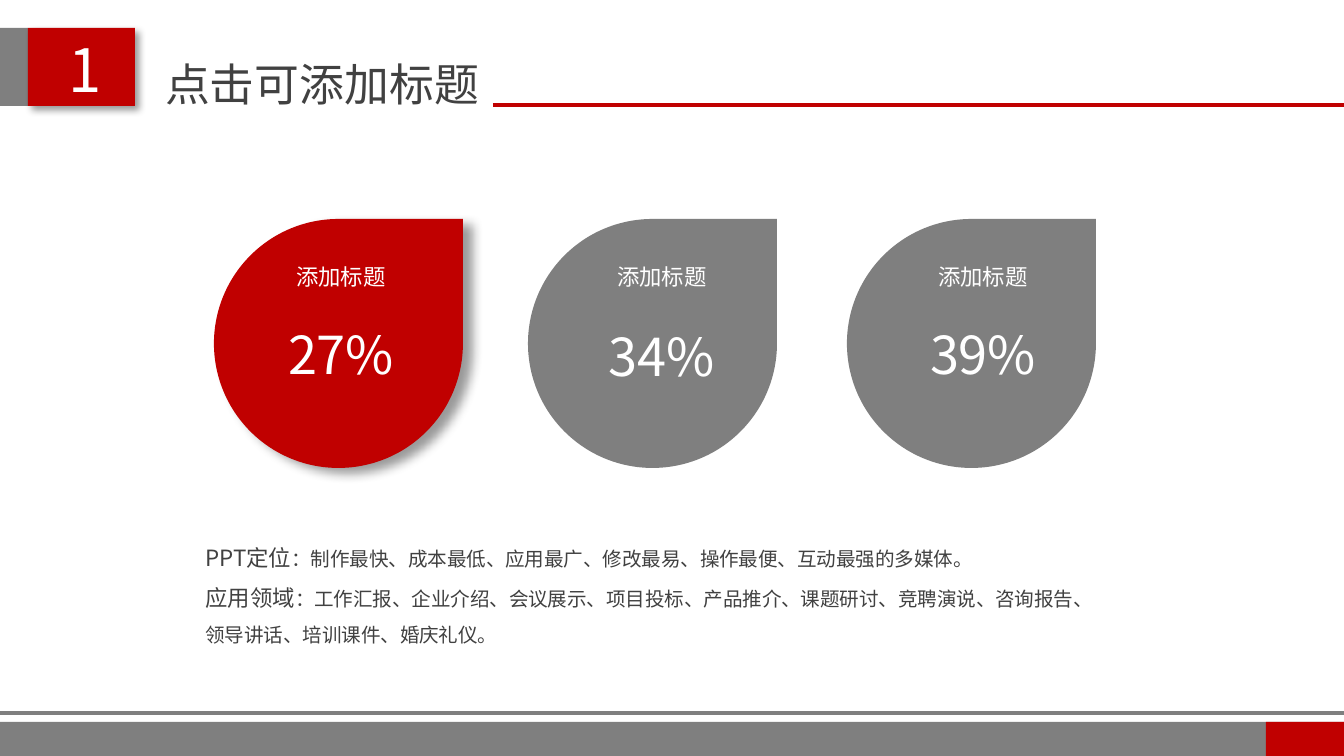
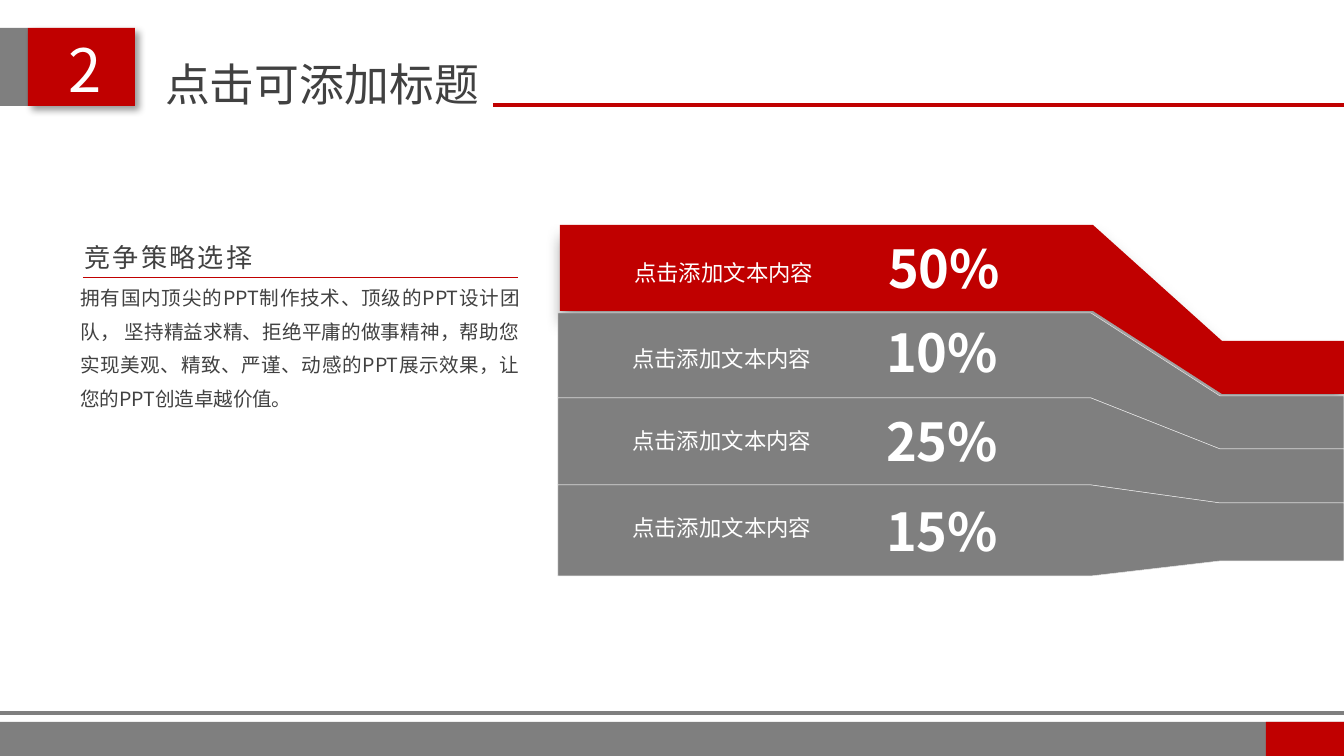
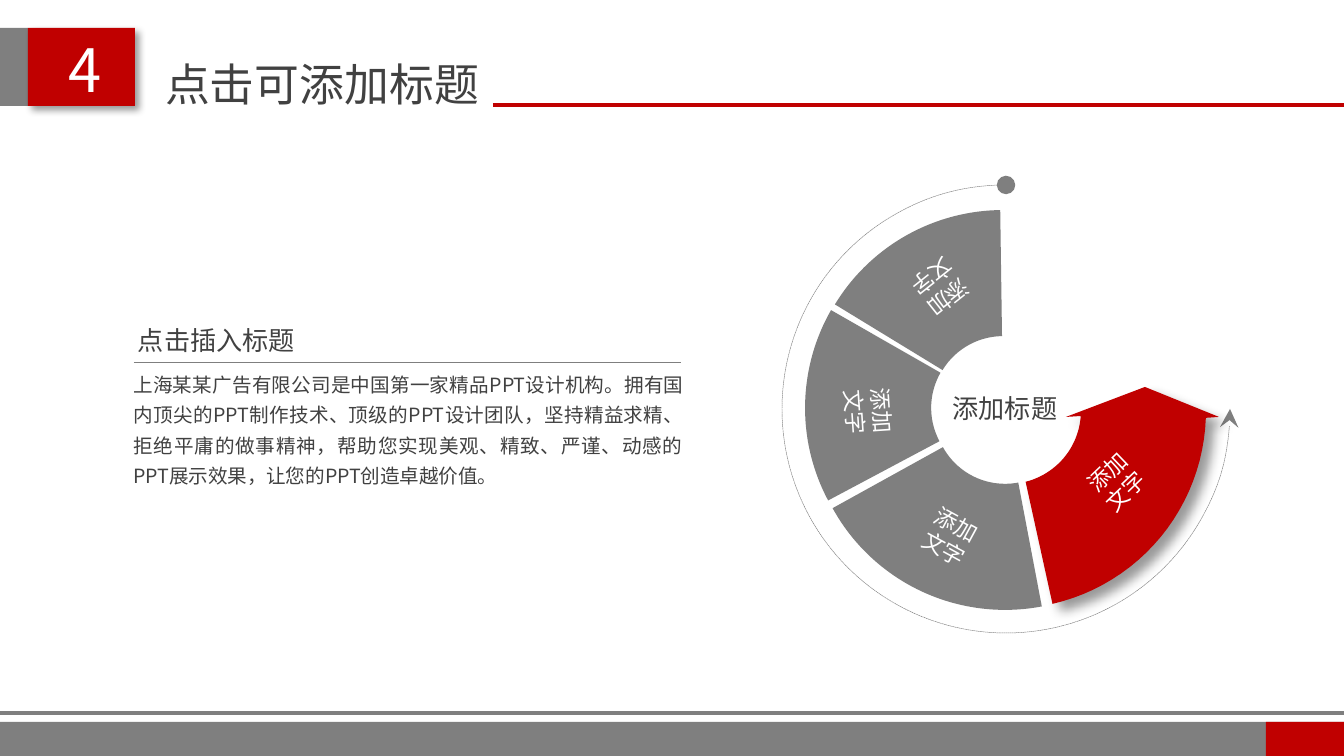
from math import cos, radians, sin

from lxml import etree
from pptx import Presentation
from pptx.dml.color import RGBColor
from pptx.enum.dml import MSO_LINE
from pptx.enum.shapes import MSO_CONNECTOR, MSO_SHAPE
from pptx.enum.text import MSO_ANCHOR, MSO_AUTO_SIZE, PP_ALIGN
from pptx.oxml.ns import qn
from pptx.util import Pt

RECT, TEAR = MSO_SHAPE.RECTANGLE, MSO_SHAPE.TEAR
BLOCK_ARC, ARC = MSO_SHAPE.BLOCK_ARC, MSO_SHAPE.ARC
STRAIGHT = MSO_CONNECTOR.STRAIGHT
SHORT_DASH = MSO_LINE.SQUARE_DOT
TOP, NO_FIT = MSO_ANCHOR.TOP, MSO_AUTO_SIZE.NONE
LEFT, CENTER, RIGHT, JUSTIFY = PP_ALIGN.LEFT, PP_ALIGN.CENTER, PP_ALIGN.RIGHT, PP_ALIGN.JUSTIFY

WIDTH, HEIGHT = 1344, 756
EMU_PER_PX = 9144000 / WIDTH
FONT = "Noto Sans CJK SC"
COLORS = {"red": "C00000", "gray": "7F7F7F", "edge": "E7E7E7",
          "text": "414141", "white": "FFFFFF", "shadow": "000000"}


def emu(px):
    return round(px * EMU_PER_PX)


def rgb(name):
    return RGBColor.from_string(COLORS[name])


def arc_points(center, radius, start, end, steps=24):
    angles = [radians(start + (end - start) * i / steps) for i in range(steps + 1)]
    return [(center[0] + radius * cos(a), center[1] + radius * sin(a)) for a in angles]


class Deck:
    def __init__(self):
        self.prs = Presentation()
        self.prs.slide_width, self.prs.slide_height = emu(WIDTH), emu(HEIGHT)
        self.layout = self.prs.slide_layouts[1]
        self.slide = None

    def add_page(self, number, title):
        first = self.slide is None
        self.slide = self.prs.slides.add_slide(self.layout)
        if first:
            self.draw_frame()
        heading = self.slide.shapes.title
        self.place(heading, (137, 50, 370, 67))
        self.fill_text(heading.text_frame, [title], 24, align=CENTER)
        self.text((55, 26, 55, 86), [number], 32, "white", CENTER)

    def draw_frame(self):
        for holder in list(self.layout.placeholders):
            if holder.placeholder_format.idx >= 10:
                holder.element.getparent().remove(holder.element)
        parts = [
            self.shape(RECT, (0, 722, WIDTH, 34), "gray"),
            self.line((0, 713), (WIDTH, 713), "gray", 2.25),
            self.shape(RECT, (1266, 722, 78, 34), "red"),
            self.shape(RECT, (0, 28, 28, 78), "gray"),
            self.shape(RECT, (28, 28, 107, 78), "red", shadow=(4, 3, 45)),
            self.line((493, 105), (WIDTH, 105), "red", 2.25),
        ]
        for part in parts:
            self.layout.shapes.element.append(part.element)

    def place(self, shape, box):
        shape.left, shape.top, shape.width, shape.height = map(emu, box)

    def fill_text(self, frame, lines, size, color="text", align=LEFT, bold=False,
                  spacing=None, tracking=None, wrap=True):
        frame.word_wrap = wrap
        frame.auto_size = NO_FIT
        frame.vertical_anchor = TOP
        for i, line in enumerate(lines):
            paragraph = frame.add_paragraph() if i else frame.paragraphs[0]
            props = paragraph._p.get_or_add_pPr()
            props.set("marL", "0")
            props.set("indent", "0")
            etree.SubElement(props, qn("a:buNone"))
            paragraph.alignment = align
            paragraph.space_before = Pt(0)
            if spacing:
                paragraph.line_spacing = spacing
            font = paragraph.font
            font.size, font.bold, font.name = Pt(size), bold, FONT
            font.color.rgb = rgb(color)
            defaults = props.find(qn("a:defRPr"))
            etree.SubElement(defaults, qn("a:ea")).set("typeface", FONT)
            if tracking:
                defaults.set("spc", str(tracking))
            pieces = [(line, None)] if isinstance(line, str) else line
            for words, own_size in pieces:
                run = paragraph.add_run()
                run.text = words
                if own_size:
                    run.font.size = Pt(own_size)

    def text(self, box, lines, size, color="text", align=LEFT, rotation=0, **style):
        area = self.slide.shapes.add_textbox(*map(emu, box))
        area.rotation = rotation
        self.fill_text(area.text_frame, lines, size, color, align, **style)

    def body(self, box, lines, **style):
        holder = self.slide.placeholders[1]
        self.place(holder, box)
        self.fill_text(holder.text_frame, lines, 10.5, **style)

    def finish(self, shape, fill, edge=None, shadow=None):
        shape.shadow.inherit = False
        if fill:
            shape.fill.solid()
            shape.fill.fore_color.rgb = rgb(fill)
        else:
            shape.fill.background()
        if edge:
            shape.line.color.rgb = rgb(edge)
            shape.line.width = Pt(0.25)
        else:
            shape.line.fill.background()
        if shadow:
            blur, distance, direction = shadow
            effects = shape.element.spPr.find(qn("a:effectLst"))
            outer = etree.SubElement(effects, qn("a:outerShdw"), blurRad=str(Pt(blur)),
                                     dist=str(Pt(distance)), dir=str(direction * 60000),
                                     algn="ctr", rotWithShape="0")
            tone = etree.SubElement(outer, qn("a:srgbClr"), val=COLORS["shadow"])
            etree.SubElement(tone, qn("a:alpha"), val="40000")
        return shape

    def shape(self, kind, box, fill, adjust=(), rotation=0, **look):
        shape = self.slide.shapes.add_shape(kind, *map(emu, box))
        for i, value in enumerate(adjust):
            shape.adjustments[i] = value
        shape.rotation = rotation
        return self.finish(shape, fill, **look)

    def outline(self, points, fill, **look):
        start, *rest = [(emu(x), emu(y)) for x, y in points]
        builder = self.slide.shapes.build_freeform(*start)
        builder.add_line_segments(rest, close=True)
        return self.finish(builder.convert_to_shape(), fill, **look)

    def line(self, start, end, color, width):
        rule = self.slide.shapes.add_connector(STRAIGHT, *map(emu, start + end))
        rule.line.color.rgb = rgb(color)
        rule.line.width = Pt(width)
        etree.SubElement(rule.element.spPr, qn("a:effectLst"))
        return rule

    def orbit(self, box):
        track = self.shape(ARC, box, None, adjust=(0, 162), edge="gray")
        track.line.dash_style = SHORT_DASH
        stroke = track.element.spPr.find(qn("a:ln"))
        for end, style in (("a:headEnd", "stealth"), ("a:tailEnd", "oval")):
            etree.SubElement(stroke, qn(end), type=style, w="lg", len="lg")


def build_shares(deck):
    deck.add_page("1", "点击可添加标题")
    deck.body((192, 524, 907, 145), [
        [("PPT定位", 12),
         ("：制作最快、成本最低、应用最广、修改最易、操作最便、互动最强的多媒体。", None)],
        [("应用领域", 12),
         ("：工作汇报、企业介绍、会议展示、项目投标、产品推介、课题研讨、竞聘演说、"
          "咨询报告、领导讲话、培训课件、婚庆礼仪。", None)],
    ], spacing=1.5)
    drops = [(214, 341, 316, "27%", "red", (6, 6, 30)),
             (528, 662, 318, "34%", "gray", None),
             (847, 983, 316, "39%", "gray", None)]
    for left, middle, top, share, color, shadow in drops:
        deck.shape(TEAR, (left, 219, 249, 249), color, shadow=shadow)
        deck.text((middle - 112, top, 224, 77), [share], 28, "white", CENTER)
        deck.text((middle - 64, 257, 128, 40), ["添加标题"], 12, "white", CENTER)


def build_ribbons(deck):
    deck.add_page("2", "点击可添加标题")
    ribbons = [
        ("50%", "red", 560, (225, 311), (341, 394), 253, 230),
        ("10%", "gray", 558, (313, 398), (396, 449), 339, 314),
        ("25%", "gray", 558, (398, 485), (449, 503), 421, 403),
        ("15%", "gray", 558, (485, 576), (503, 561), 508, 493),
    ]
    for share, color, left, (top, bottom), (neck_top, neck_bottom), label_y, share_y in ribbons:
        bend, neck = left + 533, left + 662
        look = {"shadow": (8, 6, 90)} if color == "red" else {"edge": "edge"}
        deck.outline([(left, top), (bend, top), (neck, neck_top), (WIDTH, neck_top),
                      (WIDTH, neck_bottom), (neck, neck_bottom), (bend, bottom),
                      (left, bottom)], color, **look)
        deck.text((left + 61, label_y, 254, 40), ["点击添加文本内容"], 12, "white")
        deck.text((left + 308, share_y, 152, 77), [share], 28, "white", CENTER, bold=True)
    deck.body((67, 269, 466, 149), [
        "拥有国内顶尖的PPT制作技术、顶级的PPT设计团队， 坚持精益求精、拒绝平庸的做事精神，"
        "帮助您实现美观、精致、严谨、动感的PPT展示效果，让您的PPT创造卓越价值。"
    ], align=JUSTIFY, spacing=Pt(18))
    deck.text((67, 235, 199, 46), ["竞争策略选择"], 14, align=RIGHT, tracking=120, wrap=False)
    deck.line((83, 277), (518, 277), "red", 0.25)


def build_ring(deck):
    deck.add_page("4", "点击可添加标题")
    deck.orbit((782, 185, 448, 448))
    deck.text((931, 386, 148, 77), ["添加标题"], 14, align=CENTER)

    label = ["添加", "文字"]
    segments = [((806, 210), 159.7, 31.02, (888, 254), 141.5),
                ((805, 211), 100.3, 31.02, (816, 378), 86.2),
                ((808, 216), 41.6, 22.57, (898, 503), 28.5)]
    for corner, turn, start, label_corner, label_turn in segments:
        deck.shape(BLOCK_ARC, corner + (394, 394), "gray",
                   adjust=(start, 65.68, 0.32), rotation=turn)
        deck.text(label_corner + (105, 67), label, 12, "white", CENTER, label_turn)

    hub = (1008, 411)
    arrow = [(1145, 387), (1219, 417), *arc_points(hub, 198, 2, 77),
             *arc_points(hub, 73, 76, 4), (1066, 417)]
    deck.outline(arrow, "red", shadow=(6, 6, 45))
    deck.text((1064, 448, 105, 67), label, 12, "white", CENTER, 316.2)

    deck.body((120, 359, 577, 137), [
        "上海某某广告有限公司是中国第一家精品PPT设计机构。拥有国内顶尖的PPT制作技术、"
        "顶级的PPT设计团队，坚持精益求精、拒绝平庸的做事精神，帮助您实现美观、精致、严谨、"
        "动感的PPT展示效果，让您的PPT创造卓越价值。"
    ], align=JUSTIFY, spacing=1.3)
    deck.text((117, 318, 199, 46), ["点击插入标题"], 14, align=CENTER, wrap=False)
    deck.line((134, 363), (681, 363), "gray", 0.5)


def main():
    deck = Deck()
    build_shares(deck)
    build_ribbons(deck)
    build_ring(deck)
    deck.prs.save("out.pptx")


if __name__ == "__main__":
    main()
